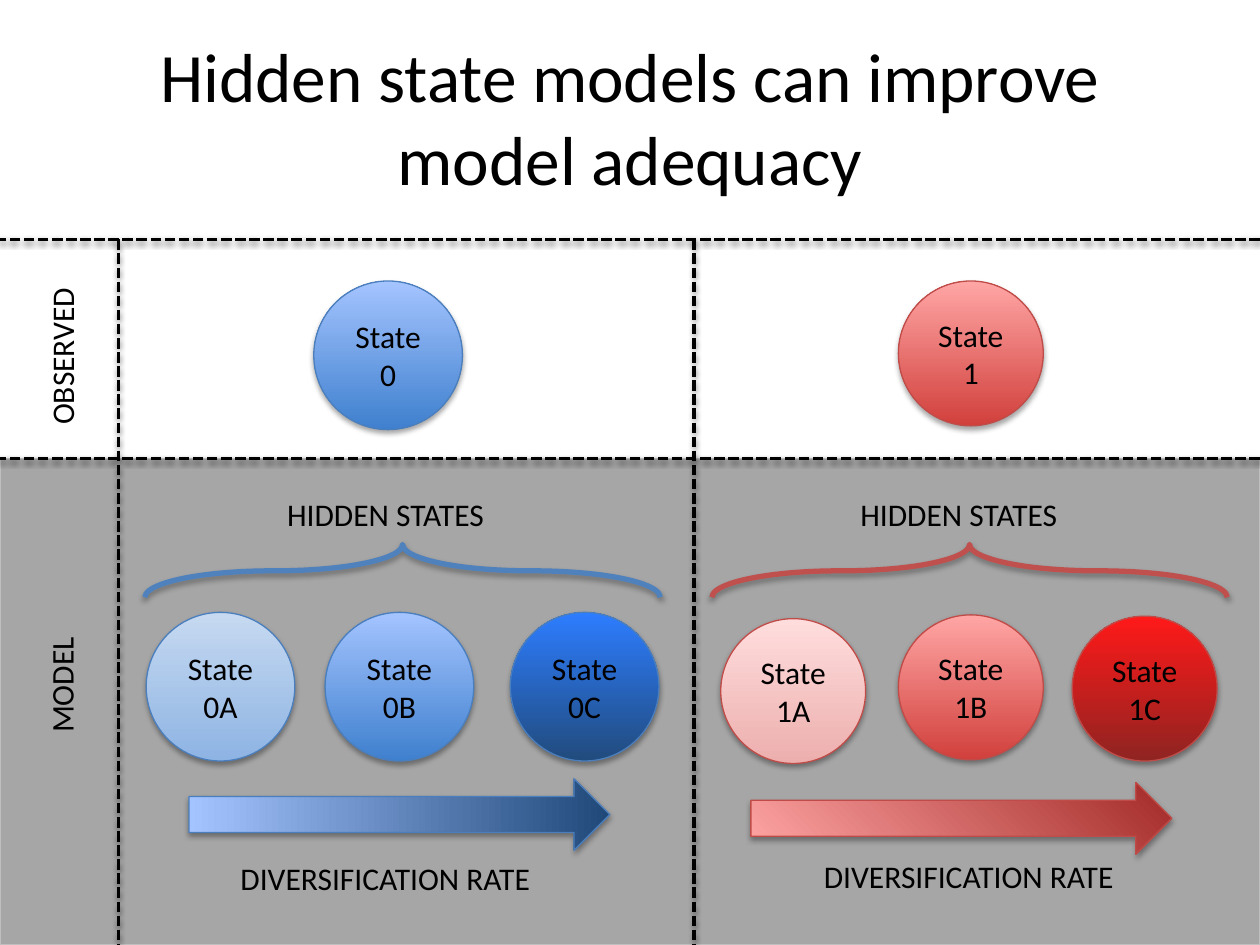
from lxml import etree
from pptx import Presentation
from pptx.dml.color import RGBColor
from pptx.enum.dml import MSO_LINE
from pptx.enum.shapes import MSO_CONNECTOR, MSO_SHAPE as SHAPE
from pptx.enum.text import MSO_ANCHOR, PP_ALIGN
from pptx.oxml import parse_xml
from pptx.oxml.ns import nsdecls, qn
from pptx.util import Inches, Pt

# Content
TITLE = "Hidden state models can improve model adequacy"
ROW_LABELS = [("OBSERVED", -0.16, 2.62, 1.3), ("MODEL", 0, 5.23, 0.97)]
ROW_TOPS = [1.9, 3.64]
COLUMN_LEFTS = [0.94, 5.51]
BLUE = ("3F80CE", "A4C4FF")
RED = ("D1403C", "FFA6A5")
# Per column: circles are (text, left, top, (bottom colour, top colour))
COLUMNS = [
    dict(
        edge="4B7EBC", brace="4F81BD", brace_left=1.15, size=1.18,
        circles=[
            ("State 0", 2.49, 2.23, BLUE),
            ("State 0A", 1.16, 4.86, ("8EB4E3", "C6D9F1")),
            ("State 0B", 2.58, 4.86, BLUE),
            ("State 0C", 4.05, 4.86, ("214B7D", "2D7DFF")),
        ],
        labels=[("HIDDEN STATES", 2.18, 3.88, 1.78),
                ("DIVERSIFICATION RATE", 1.81, 6.77, 2.52)],
        arrow=(1.5, 6.18), arrow_colors=("20497A", "A4C4FF"), radial=False,
    ),
    dict(
        edge="BF4C48", brace="C0504D", brace_left=5.65, size=1.15,
        circles=[
            ("State 1", 7.13, 2.23, RED),
            ("State 1A", 5.72, 4.91, ("ECAFAE", "FFDDDD")),
            ("State 1B", 7.13, 4.88, RED),
            ("State 1C", 8.51, 4.89, ("8F2421", "FF1919")),
        ],
        labels=[("HIDDEN STATES", 6.73, 3.88, 1.78),
                ("DIVERSIFICATION RATE", 6.44, 6.75, 2.52)],
        arrow=(5.96, 6.21), arrow_colors=("A22926", "FFA6A5"), radial=True,
    ),
]
PAGE_WIDTH, PAGE_HEIGHT = 10, 7.5
BRACE_LENGTH, BRACE_DEPTH, BRACE_TOP = 4.09, 0.42, 4.32


def color(value):
    return RGBColor.from_string(value)


def add_shadow(effects, alpha, distance):
    shadow = etree.SubElement(
        effects, qn("a:outerShdw"), blurRad=str(Pt(3.1)), dist=str(Pt(distance)),
        dir="5400000", rotWithShape="0")
    tone = etree.SubElement(shadow, qn("a:srgbClr"), val="000000")
    etree.SubElement(tone, qn("a:alpha"), val=str(alpha * 1000))


def write(shape, text, size=18, align=PP_ALIGN.CENTER):
    para = shape.text_frame.paragraphs[0]
    para.alignment = align
    span = para.add_run()
    span.text = text
    for name, value in dict(name="Calibri", size=Pt(size)).items():
        setattr(span.font, name, value)
    span.font.color.rgb = color("000000")


def add_label(text, left, top, width, rotation=0):
    box = page.shapes.add_textbox(*map(Inches, (left, top, width, 0.4)))
    box.rotation = rotation
    box.text_frame.word_wrap = False
    write(box, text, align=PP_ALIGN.LEFT)


def add_part(kind, left, top, width, height, edge, weight=0.75):
    shape = page.shapes.add_shape(kind, *map(Inches, (left, top, width, height)))
    shape.line.color.rgb = color(edge)
    shape.line.width = Pt(weight)
    shape.shadow.inherit = False
    add_shadow(shape._element.spPr.find(qn("a:effectLst")), 35, 1.8)
    return shape


def fill_gradient(shape, colors, angle):
    shape.fill.gradient()
    shape.fill.gradient_angle = angle
    for stop, value in zip(shape.fill.gradient_stops, colors):
        stop.color.rgb = color(value)


def make_radial(shape):
    """Spread the gradient from the top right corner."""
    gradient = shape._element.spPr.find(qn("a:gradFill"))
    gradient.replace(gradient.find(qn("a:lin")), parse_xml(
        f'<a:path {nsdecls("a")} path="circle">'
        '<a:fillToRect l="100000" b="100000"/></a:path>'))


def add_divider(*ends):
    line = page.shapes.add_connector(MSO_CONNECTOR.STRAIGHT, *map(Inches, ends))
    line.line.color.rgb = color("000000")
    line.line.width = Pt(2)
    line.line.dash_style = MSO_LINE.SQUARE_DOT
    add_shadow(etree.SubElement(line._element.spPr, qn("a:effectLst")), 38, 1.6)


deck = Presentation()
deck.slide_width, deck.slide_height = Inches(PAGE_WIDTH), Inches(PAGE_HEIGHT)
page = deck.slides.add_slide(deck.slide_layouts[6])

# Title
title = page.shapes.add_textbox(*map(Inches, (0.5, 0.3, 9, 1.25)))
title.text_frame.word_wrap = True
title.text_frame.vertical_anchor = MSO_ANCHOR.MIDDLE
write(title, TITLE, 39.6)

# Model band and dashed grid
band = add_part(SHAPE.RECTANGLE, 0, ROW_TOPS[1], PAGE_WIDTH,
                PAGE_HEIGHT - ROW_TOPS[1], "BFBFBF")
band.fill.solid()
band.fill.fore_color.rgb = color("A6A6A6")
for x in COLUMN_LEFTS:
    add_divider(x, ROW_TOPS[0], x, PAGE_HEIGHT)
for y in ROW_TOPS:
    add_divider(PAGE_WIDTH, y, 0, y)
for label in ROW_LABELS:
    add_label(*label, rotation=270)

# State columns
for column in COLUMNS:
    edge, size = column["edge"], column["size"]
    for text, left, top, colors in column["circles"]:
        circle = add_part(SHAPE.OVAL, left, top, size, size, edge)
        fill_gradient(circle, colors, 90)
        circle.text_frame.word_wrap = True
        circle.text_frame.vertical_anchor = MSO_ANCHOR.MIDDLE
        write(circle, text)

    # The brace is drawn upright, then turned about its centre
    shift = (BRACE_LENGTH - BRACE_DEPTH) / 2
    brace = add_part(SHAPE.RIGHT_BRACE, column["brace_left"] + shift, BRACE_TOP - shift,
                     BRACE_DEPTH, BRACE_LENGTH, column["brace"], 3)
    brace.rotation = 270
    brace.adjustments[0] = 2.41
    brace.fill.background()

    arrow = add_part(SHAPE.RIGHT_ARROW, *column["arrow"], 3.34, 0.57, edge)
    fill_gradient(arrow, column["arrow_colors"], 180)
    if column["radial"]:
        make_radial(arrow)
    for label in column["labels"]:
        add_label(*label)

deck.save("out.pptx")
